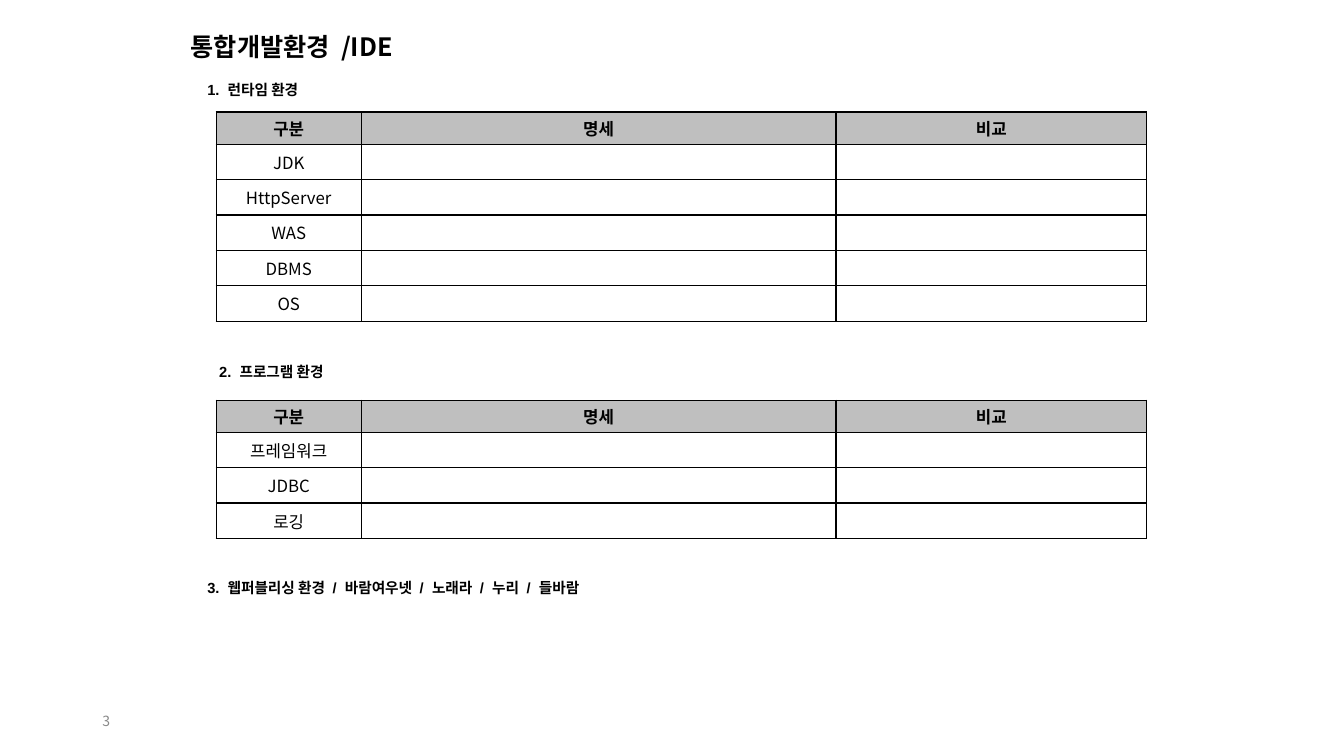
"""Build the development environment slide with its two tables."""
from lxml import etree
from pptx import Presentation
from pptx.dml.color import RGBColor
from pptx.enum.text import MSO_ANCHOR, MSO_AUTO_SIZE, PP_ALIGN
from pptx.oxml.ns import qn
from pptx.util import Pt

MID, TOP = MSO_ANCHOR.MIDDLE, MSO_ANCHOR.TOP
LEFT, CENTER = PP_ALIGN.LEFT, PP_ALIGN.CENTER
FIXED = MSO_AUTO_SIZE.NONE
SANS, ARIAL = "Noto Sans CJK KR", "Arial"
COLORS = {"ink": "000000", "muted": "898989", "head": "BFBFBF", "paper": "FFFFFF"}
COLS = (103.7, 339.1, 221.8)
HEAD = ("구분", "명세", "비교")
HEAD_H, ROW_H = 23, 25.3


def color(name):
    return RGBColor.from_string(COLORS[name])


def add_run(para, text, size, bold=False, face=SANS, tone="ink", track=0):
    run = para.add_run()
    run.text = text
    font = run.font
    font.size, font.bold, font.name = Pt(size), bold, face
    font.color.rgb = color(tone)
    props = run._r.get_or_add_rPr()
    etree.SubElement(props, qn("a:ea")).set("typeface", SANS)
    if track:
        props.set("spc", str(track * 100))


def add_parts(para, parts, track, **style):
    for index, part in enumerate(parts):
        if index:
            add_run(para, " ", track=track, **style)
        add_run(para, part, **style)


def set_title(slide, parts):
    title = slide.shapes.title
    title.left, title.top, title.width, title.height = Pt(129), Pt(20), Pt(176), Pt(29)
    frame = title.text_frame
    frame.auto_size, frame.vertical_anchor = FIXED, MID
    para = frame.paragraphs[0]
    para.alignment, para.line_spacing = LEFT, 0.9
    add_parts(para, parts, 4, size=18, bold=True)


def add_box(slide, left, top, width, height, wrap=False, anchor=TOP):
    box = slide.shapes.add_textbox(Pt(left), Pt(top), Pt(width), Pt(height))
    frame = box.text_frame
    frame.word_wrap, frame.vertical_anchor = wrap, anchor
    para = frame.paragraphs[0]
    para.alignment = LEFT
    return para


def add_label(slide, left, top, width, parts):
    para = add_box(slide, left, top, width, 20.5)
    add_parts(para, parts, 3, size=10.5, bold=True, face=ARIAL)


def add_edges(cell):
    props = cell._tc.get_or_add_tcPr()
    for side in ("lnL", "lnR", "lnT", "lnB"):
        line = etree.SubElement(props, qn("a:" + side), w=str(Pt(1)))
        fill = etree.SubElement(line, qn("a:solidFill"))
        etree.SubElement(fill, qn("a:srgbClr"), val=COLORS["ink"])


def fill_cell(cell, text, head):
    add_edges(cell)
    cell.fill.solid()
    cell.fill.fore_color.rgb = color("head" if head else "paper")
    cell.vertical_anchor = MID
    cell.margin_top = cell.margin_bottom = Pt(2.5)
    para = cell.text_frame.paragraphs[0]
    para.alignment = CENTER
    if text:
        add_run(para, text, 12, head)
    else:
        etree.SubElement(para._p, qn("a:endParaRPr"), sz="1200")


def add_grid(slide, top, names):
    rows = [HEAD] + [(name, "", "") for name in names]
    height = HEAD_H + ROW_H * len(names)
    frame = slide.shapes.add_table(
        len(rows), len(COLS), Pt(154.4), Pt(top), Pt(sum(COLS)), Pt(height))
    table = frame.table
    table.first_row = table.horz_banding = False
    for col, width in zip(table.columns, COLS):
        col.width = Pt(width)
    for r, row in enumerate(rows):
        table.rows[r].height = Pt(ROW_H if r else HEAD_H)
        for c, text in enumerate(row):
            fill_cell(table.cell(r, c), text, r == 0)


def main():
    deck = Presentation()
    deck.slide_width, deck.slide_height = Pt(960), Pt(540)
    slide = deck.slides.add_slide(deck.slide_layouts[5])
    set_title(slide, ("통합개발환경", "/IDE"))
    add_label(slide, 141, 54.5, 86, ("1.", "런타임 환경"))
    add_grid(slide, 80, ("JDK", "HttpServer", "WAS", "DBMS", "OS"))
    add_label(slide, 149.5, 255.5, 95, ("2.", "프로그램 환경"))
    add_grid(slide, 285.8, ("프레임워크", "JDBC", "로깅"))
    add_label(slide, 141, 409.7, 296, (
        "3.", "웹퍼블리싱 환경", "/", "바람여우넷", "/", "노래라", "/", "누리", "/", "들바람"))
    page = add_box(slide, 66, 500.5, 216, 29, True, MID)
    add_run(page, "3", 10, tone="muted")
    deck.save("out.pptx")


main()
